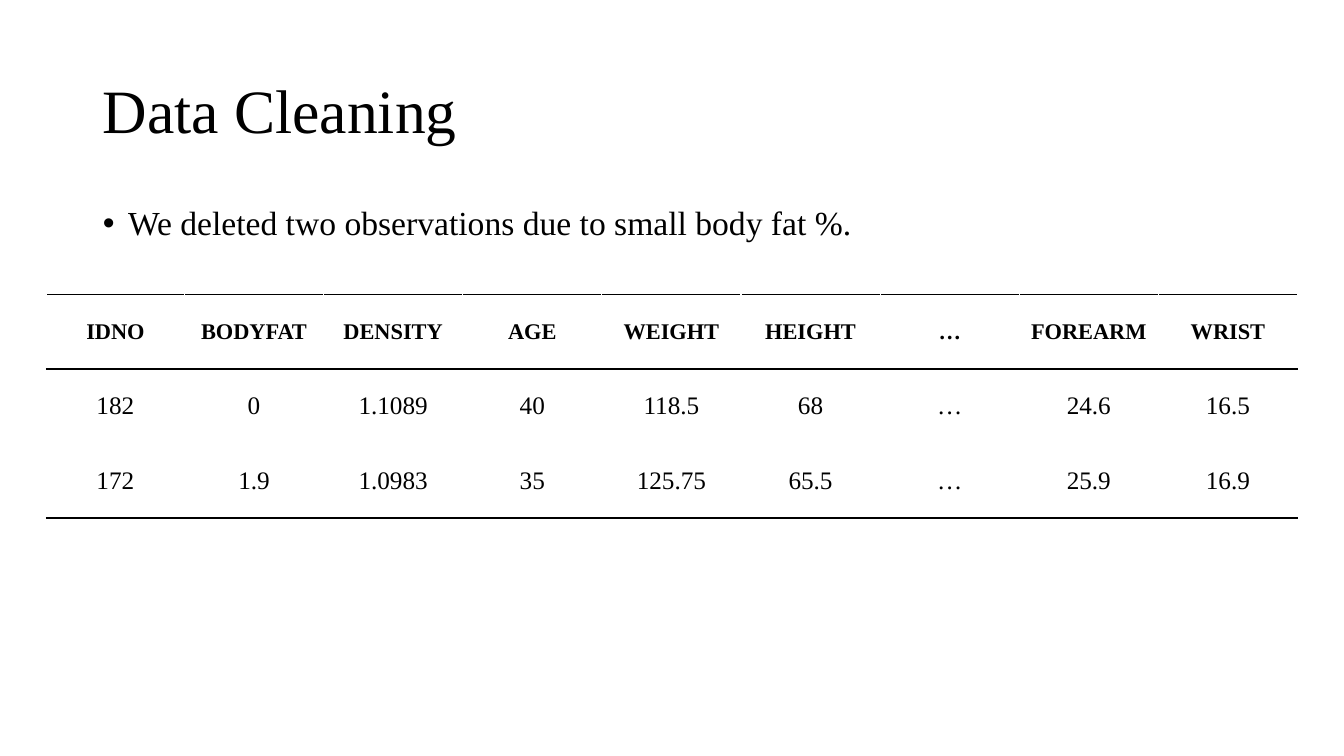
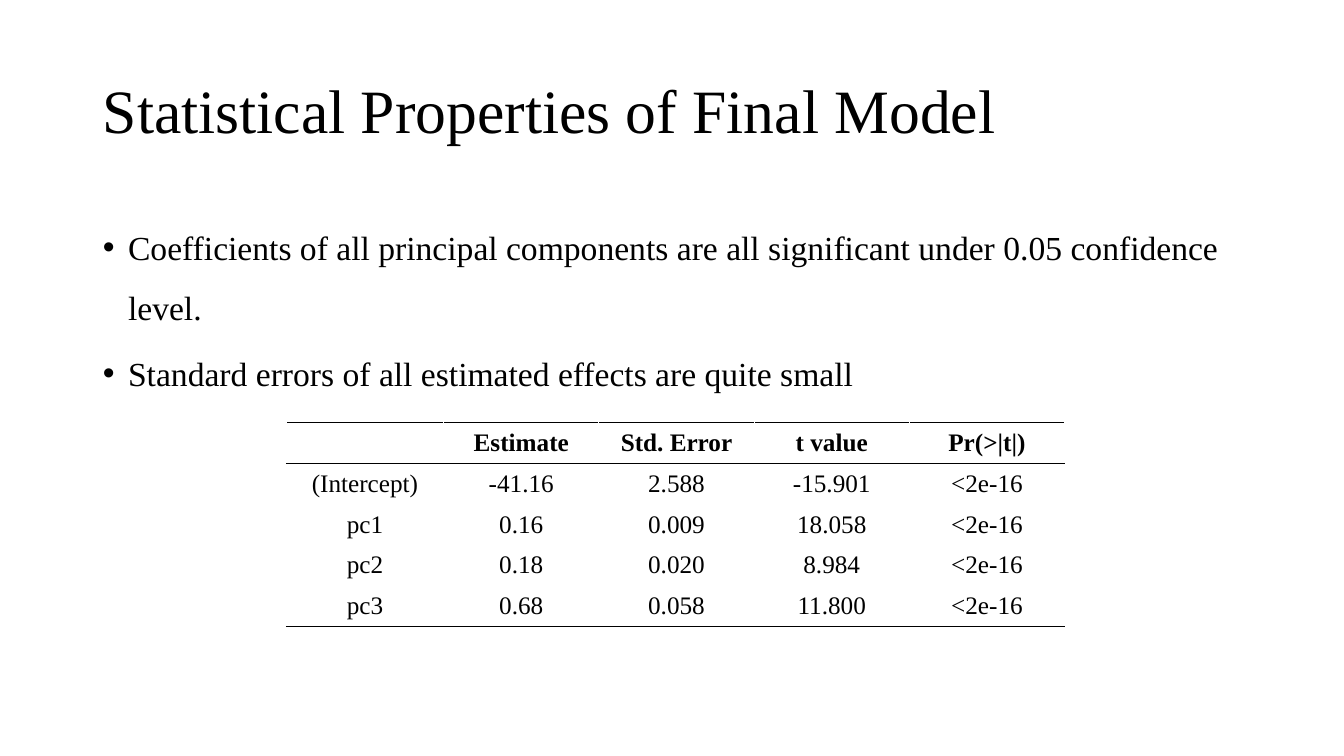
import dataclasses

import pptx
import pptx.dml.color
import pptx.enum.text
import pptx.oxml
import pptx.oxml.ns
import pptx.util

Inches = pptx.util.Inches
Pt = pptx.util.Pt
Align = pptx.enum.text.PP_ALIGN
Anchor = pptx.enum.text.MSO_ANCHOR


@dataclasses.dataclass
class Theme:
    font: str = "Times New Roman"
    ink: str = "000000"
    paper: str = "FFFFFF"
    title: int = 44
    body: int = 24
    head: int = 16
    cell: int = 18
    rule: int = 1


theme = Theme()


def write(para, text, size, bold=False, align=Align.LEFT, line=1.0, before=0, after=0):
    para.alignment = align
    para.line_spacing = line
    para.space_before = Pt(before)
    para.space_after = Pt(after)
    run = para.add_run()
    run.text = text
    run.font.name = theme.font
    run.font.size = Pt(size)
    run.font.bold = bold
    run.font.color.rgb = pptx.dml.color.RGBColor.from_string(theme.ink)


def border(cell, side, color):
    cell._tc.get_or_add_tcPr().append(pptx.oxml.parse_xml(
        f'<a:ln{side} {pptx.oxml.ns.nsdecls("a")} w="{Pt(theme.rule)}">'
        f'<a:solidFill><a:srgbClr val="{color}"/></a:solidFill></a:ln{side}>'))


pages = [
    dict(
        title="Data Cleaning",
        points=["We deleted two observations due to small body fat %."],
        space=dict(line=0.9, before=10),
        left=0.46, top=2.92, first=1.37, wide=1.38, high=0.74, head=theme.head,
        rows=[
            ["IDNO", "BODYFAT", "DENSITY", "AGE", "WEIGHT", "HEIGHT", "…", "FOREARM", "WRIST"],
            ["182", "0", "1.1089", "40", "118.5", "68", "…", "24.6", "16.5"],
            ["172", "1.9", "1.0983", "35", "125.75", "65.5", "…", "25.9", "16.9"],
        ],
    ),
    dict(
        title="Statistical Properties of Final Model",
        points=[
            "Coefficients of all principal components are all significant under 0.05 confidence level.",
            "Standard errors of all estimated effects are quite small",
        ],
        space=dict(line=1.5, before=1, after=2.4),
        left=2.84, top=4.19, first=1.56, wide=1.54, high=0.405, head=theme.cell,
        rows=[
            ["", "Estimate", "Std. Error", "t value", "Pr(>|t|)"],
            ["(Intercept)", "-41.16", "2.588", "-15.901", "<2e-16"],
            ["pc1", "0.16", "0.009", "18.058", "<2e-16"],
            ["pc2", "0.18", "0.020", "8.984", "<2e-16"],
            ["pc3", "0.68", "0.058", "11.800", "<2e-16"],
        ],
    ),
]

deck = pptx.Presentation()
deck.slide_width = Inches(13.33)
deck.slide_height = Inches(7.5)

for page in pages:
    slide = deck.slides.add_slide(deck.slide_layouts[1])
    title, body = slide.placeholders
    for box, top, high in ((title, 0.4, 1.45), (body, 2, 4.76)):
        box.left, box.top = Inches(0.92), Inches(top)
        box.width, box.height = Inches(11.5), Inches(high)
        box.text_frame.word_wrap = True
        box.text_frame.auto_size = pptx.enum.text.MSO_AUTO_SIZE.NONE

    title.text_frame.vertical_anchor = Anchor.MIDDLE
    write(title.text_frame.paragraphs[0], page["title"], theme.title, line=0.9)

    for i, point in enumerate(page["points"]):
        para = body.text_frame.add_paragraph() if i else body.text_frame.paragraphs[0]
        write(para, point, theme.body, **page["space"])
        props = para._p.get_or_add_pPr()
        props.set("marL", str(Inches(0.25)))
        props.set("indent", str(Inches(-0.25)))
        props.append(pptx.oxml.parse_xml(
            f'<a:buFont {pptx.oxml.ns.nsdecls("a")} typeface="Arial"/>'))
        props.append(pptx.oxml.parse_xml(
            f'<a:buChar {pptx.oxml.ns.nsdecls("a")} char="•"/>'))

    rows = page["rows"]
    count = len(rows[0])
    last = len(rows) - 1
    wide = page["first"] + page["wide"] * (count - 1)
    table = slide.shapes.add_table(
        len(rows), count, Inches(page["left"]), Inches(page["top"]),
        Inches(wide), Inches(page["high"] * len(rows))).table
    table.first_row = False
    table.horz_banding = False
    for c, col in enumerate(table.columns):
        col.width = Inches(page["wide"] if c else page["first"])

    for r, row in enumerate(rows):
        table.rows[r].height = Inches(page["high"])
        above = theme.ink if r < 2 else theme.paper
        below = theme.ink if r in (0, last) else theme.paper
        for c, text in enumerate(row):
            cell = table.cell(r, c)
            cell.vertical_anchor = Anchor.MIDDLE
            for side, color in zip("LRTB", (theme.paper, theme.paper, above, below)):
                border(cell, side, color)
            cell.fill.solid()
            cell.fill.fore_color.rgb = pptx.dml.color.RGBColor.from_string(theme.paper)
            if text:
                write(cell.text_frame.paragraphs[0], text,
                      theme.cell if r else page["head"], bold=r == 0, align=Align.CENTER)

deck.save("out.pptx")
